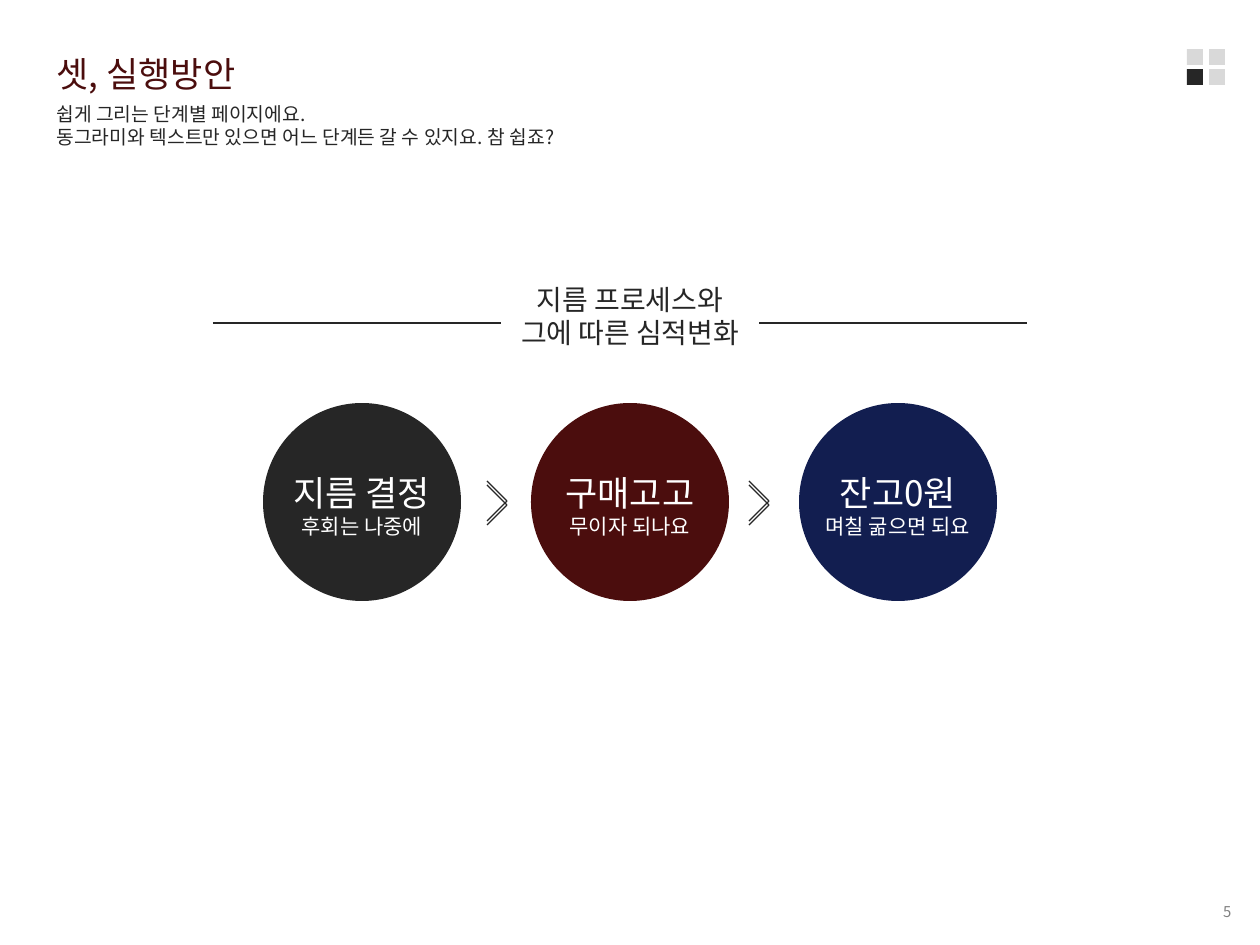
from dataclasses import dataclass

from lxml.etree import SubElement
from pptx import Presentation
from pptx.dml.color import RGBColor
from pptx.enum.shapes import MSO_CONNECTOR, MSO_SHAPE
from pptx.enum.text import MSO_ANCHOR, MSO_AUTO_SIZE, PP_ALIGN
from pptx.oxml.ns import qn
from pptx.util import Emu, Inches, Pt


@dataclass(frozen=True)
class Theme:
    font: str = "Noto Sans CJK KR"
    dark: RGBColor = RGBColor(0x26, 0x26, 0x26)
    wine: RGBColor = RGBColor(0x4B, 0x0D, 0x0D)
    navy: RGBColor = RGBColor(0x12, 0x1E, 0x50)
    light: RGBColor = RGBColor(0xD9, 0xD9, 0xD9)
    grey: RGBColor = RGBColor(0x80, 0x80, 0x80)
    white: RGBColor = RGBColor(0xFF, 0xFF, 0xFF)
    title: float = 20
    heading: float = 16
    caption: float = 12
    body: float = 11
    number: float = 8.5
    leading: float = 1.2
    line: float = 0.75


theme = Theme()
PX = Inches(1) / 126


def px(*lengths):
    return [Emu(round(length * PX)) for length in lengths]


def write(box, lines, color, align=PP_ALIGN.LEFT, anchor=MSO_ANCHOR.TOP):
    """Fill a box with (text, size) lines, one paragraph each."""
    frame = box.text_frame
    frame.word_wrap = True
    frame.auto_size = MSO_AUTO_SIZE.NONE
    frame.vertical_anchor = anchor
    frame.text = "\n".join(text for text, size in lines)
    for para, (text, size) in zip(frame.paragraphs, lines):
        para.alignment = align
        para.line_spacing = Pt(size * theme.leading)
        para.space_before = Pt(0)
        para.font.size = Pt(size)
        para.font.name = theme.font
        para.font.color.rgb = color
        for span in para.runs:
            properties = span._r.get_or_add_rPr()
            SubElement(properties, qn("a:ea")).set("typeface", theme.font)


deck = Presentation()
deck.slide_width, deck.slide_height = px(1260, 945)
page = deck.slides.add_slide(deck.slide_layouts[5])
shapes = page.shapes
connectors = []

# Title, introduction and page number
title = shapes.title
title.left, title.top, title.width, title.height = px(44, 46, 963, 55)
write(title, [("셋, 실행방안", theme.title)], theme.wine)

intro = shapes.add_textbox(*px(44, 96, 963, 59))
write(intro, [
    ("쉽게 그리는 단계별 페이지에요.", theme.body),
    ("동그라미와 텍스트만 있으면 어느 단계든 갈 수 있지요. 참 쉽죠?", theme.body),
], theme.dark)

number = shapes.add_textbox(*px(978, 895, 266, 34))
write(number, [("5", theme.number)], theme.grey, PP_ALIGN.RIGHT, MSO_ANCHOR.MIDDLE)

# Four-square marker, lower left square active
marker = shapes.add_group_shape()
for row in range(2):
    for column in range(2):
        square = marker.shapes.add_shape(
            MSO_SHAPE.RECTANGLE, *px(1187 + 22 * column, 49 + 20 * row, 16, 16))
        square.shadow.inherit = False
        square.fill.solid()
        square.fill.fore_color.rgb = theme.dark if (row, column) == (1, 0) else theme.light
        square.line.fill.background()

# Steps: a circle with its label
steps = [
    ("지름 결정", "후회는 나중에", theme.dark),
    ("구매고고", "무이자 되나요", theme.wine),
    ("잔고0원", "며칠 굶으면 되요", theme.navy),
]
for index, (name, caption, color) in enumerate(steps):
    left = 263 + 268 * index
    circle = shapes.add_shape(MSO_SHAPE.OVAL, *px(left, 403, 198, 198))
    circle.shadow.inherit = False
    circle.fill.solid()
    circle.fill.fore_color.rgb = color
    circle.line.fill.background()
    label = shapes.add_textbox(*px(left + 4, 465, 190, 81))
    write(label, [(name, theme.title), (caption, theme.caption)],
          theme.white, PP_ALIGN.CENTER)

# Double chevrons between the steps
for left in (487, 749):
    chevron = shapes.add_group_shape()
    for tip in (505, 501):
        for end in (tip - 20, tip + 20):
            connectors.append((chevron.shapes.add_connector(
                MSO_CONNECTOR.STRAIGHT, *px(left, end, left + 20, tip)), theme.dark))

# Rule with the heading set over its middle
connectors.append((shapes.add_connector(
    MSO_CONNECTOR.STRAIGHT, *px(213, 323, 1027, 323)), theme.dark))
heading = shapes.add_shape(MSO_SHAPE.RECTANGLE, *px(501, 276, 258, 81))
heading.shadow.inherit = False
heading.fill.solid()
heading.fill.fore_color.rgb = theme.white
heading.line.fill.background()
write(heading, [
    ("지름 프로세스와", theme.heading),
    ("그에 따른 심적변화", theme.heading),
], theme.dark, PP_ALIGN.CENTER)

# Line style
for connector, color in connectors:
    connector.line.color.rgb = color
    connector.line.width = Pt(theme.line)
    SubElement(connector._element.spPr, qn("a:effectLst"))

deck.save("out.pptx")
